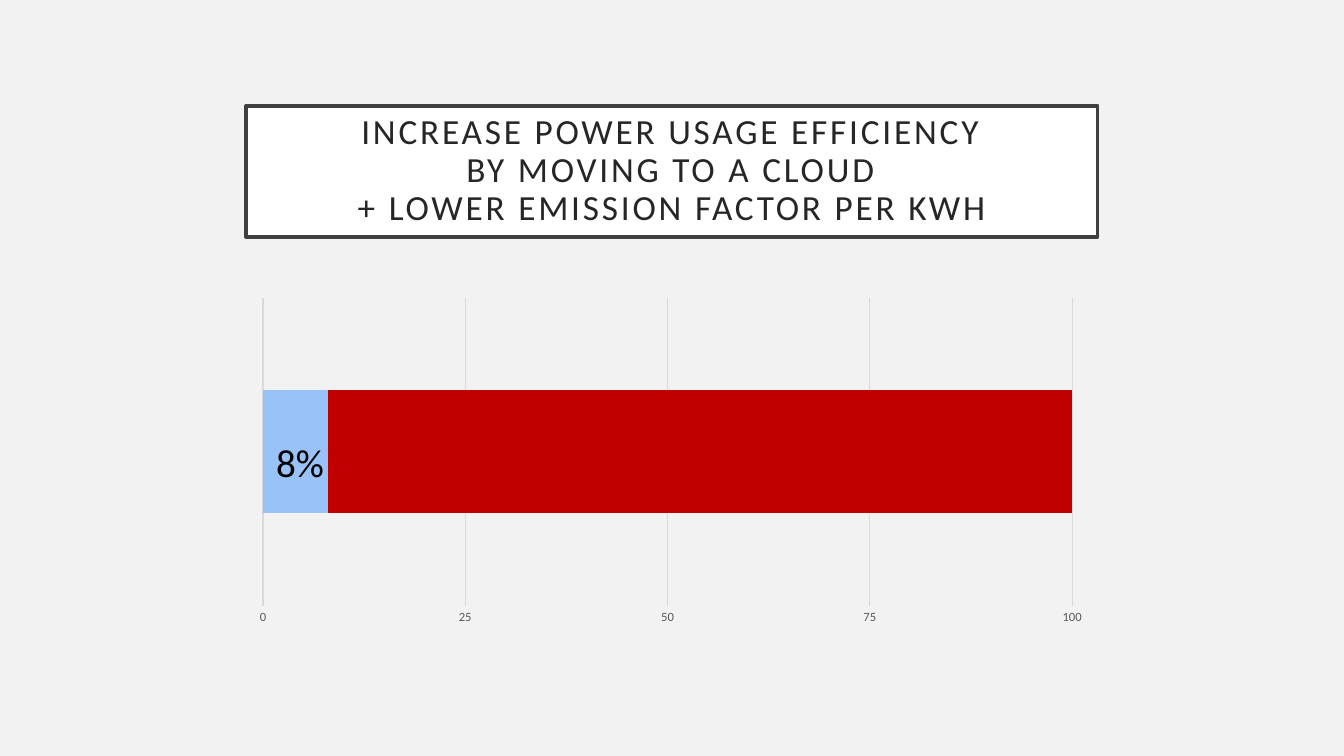
from dataclasses import dataclass

from lxml.etree import SubElement
from pptx import Presentation
from pptx.chart.data import CategoryChartData
from pptx.dml.color import RGBColor
from pptx.enum.chart import XL_CHART_TYPE, XL_TICK_MARK
from pptx.enum.shapes import MSO_SHAPE
from pptx.enum.text import MSO_ANCHOR, PP_ALIGN
from pptx.oxml.ns import qn
from pptx.slide import Slide
from pptx.text.text import Font
from pptx.util import Pt

FONT_NAME = "Calibri"
LEFT, WIDTH = 175.7, 608.4


@dataclass
class Series:
    name: str
    value: int
    color: str


SERIES = [Series("Series 1", 8, "99C2F9"), Series("Series 2", 92, "C00000")]
# Inner plot area as fractions of the chart
PLOT_AREA = {"x": 0.02, "y": 0.02, "w": 0.95, "h": 0.9}


def rgb(color: str) -> RGBColor:
    return RGBColor.from_string(color)


def set_format(target: object, values: dict) -> None:
    for name, value in values.items():
        setattr(target, name, value)


def style_font(font: Font, size: float, color: str) -> None:
    set_format(font, {"name": FONT_NAME, "size": Pt(size)})
    font.color.rgb = rgb(color)


def add_title(slide: Slide) -> None:
    shape = slide.shapes.add_shape(
        MSO_SHAPE.RECTANGLE, Pt(LEFT), Pt(75.6), Pt(WIDTH), Pt(93.6))
    shape.shadow.inherit = False
    shape.fill.solid()
    shape.fill.fore_color.rgb = rgb("FFFFFF")
    shape.line.color.rgb = rgb("404040")
    shape.line.width = Pt(2.5)
    frame = shape.text_frame
    set_format(frame, {"word_wrap": True, "vertical_anchor": MSO_ANCHOR.MIDDLE})
    for side in ("left", "top", "right", "bottom"):
        setattr(frame, f"margin_{side}", Pt(14.4))
    paragraph = frame.paragraphs[0]
    paragraph.text = ("INCREASE POWER USAGE EFFICIENCY\v"
                      "BY MOVING TO A CLOUD\v"
                      "+ LOWER EMISSION FACTOR PER KWH")
    set_format(paragraph, {"alignment": PP_ALIGN.CENTER, "line_spacing": 0.9})
    for run in paragraph.runs:
        style_font(run.font, 25.2, "262626")
        run._r.get_or_add_rPr().set("spc", "200")


def add_power_chart(slide: Slide) -> None:
    data = CategoryChartData()
    data.categories = ["1"]
    for series in SERIES:
        data.add_series(series.name, [series.value])
    chart = slide.shapes.add_chart(
        XL_CHART_TYPE.BAR_STACKED, Pt(LEFT), Pt(208.1), Pt(WIDTH), Pt(244.1),
        data).chart
    set_format(chart, {"has_legend": False, "has_title": False})
    style_font(chart.font, 10, "000000")

    plot = chart.plots[0]
    set_format(plot, {"gap_width": 150, "overlap": 100, "vary_by_categories": False})
    for drawn, series in zip(plot.series, SERIES):
        drawn.format.fill.solid()
        drawn.format.fill.fore_color.rgb = rgb(series.color)

    chart.category_axis.visible = False
    axis = chart.value_axis
    set_format(axis, {
        "minimum_scale": 0, "maximum_scale": 100, "major_unit": 25,
        "has_major_gridlines": True,
        "major_tick_mark": XL_TICK_MARK.NONE, "minor_tick_mark": XL_TICK_MARK.NONE,
    })
    axis.format.line.fill.background()
    style_font(axis.tick_labels.font, 9, "595959")
    gridline = axis.major_gridlines.format.line
    gridline.color.rgb = rgb("D9D9D9")
    gridline.width = Pt(0.75)
    place_plot_area(chart._chartSpace.chart.plotArea)


def place_plot_area(plot_area) -> None:
    layout = plot_area.find(qn("c:layout"))
    if layout is None:
        layout = SubElement(plot_area, qn("c:layout"))
        plot_area.insert(0, layout)
    manual = SubElement(layout, qn("c:manualLayout"))
    settings = {"layoutTarget": "inner", "xMode": "edge", "yMode": "edge", **PLOT_AREA}
    for name, value in settings.items():
        SubElement(manual, qn(f"c:{name}")).set("val", str(value))


def add_share_label(slide: Slide) -> None:
    frame = slide.shapes.add_textbox(Pt(190.1), Pt(309.6), Pt(64.1), Pt(41)).text_frame
    frame.word_wrap = True
    run = frame.paragraphs[0].add_run()
    run.text = "8%"
    style_font(run.font, 28, "000000")


def main() -> None:
    presentation = Presentation()
    set_format(presentation, {"slide_width": Pt(960), "slide_height": Pt(540)})
    slide = presentation.slides.add_slide(presentation.slide_layouts[6])
    slide.background.fill.solid()
    slide.background.fill.fore_color.rgb = rgb("F2F2F2")
    add_power_chart(slide)
    add_title(slide)
    add_share_label(slide)
    presentation.save("out.pptx")


if __name__ == "__main__":
    main()
